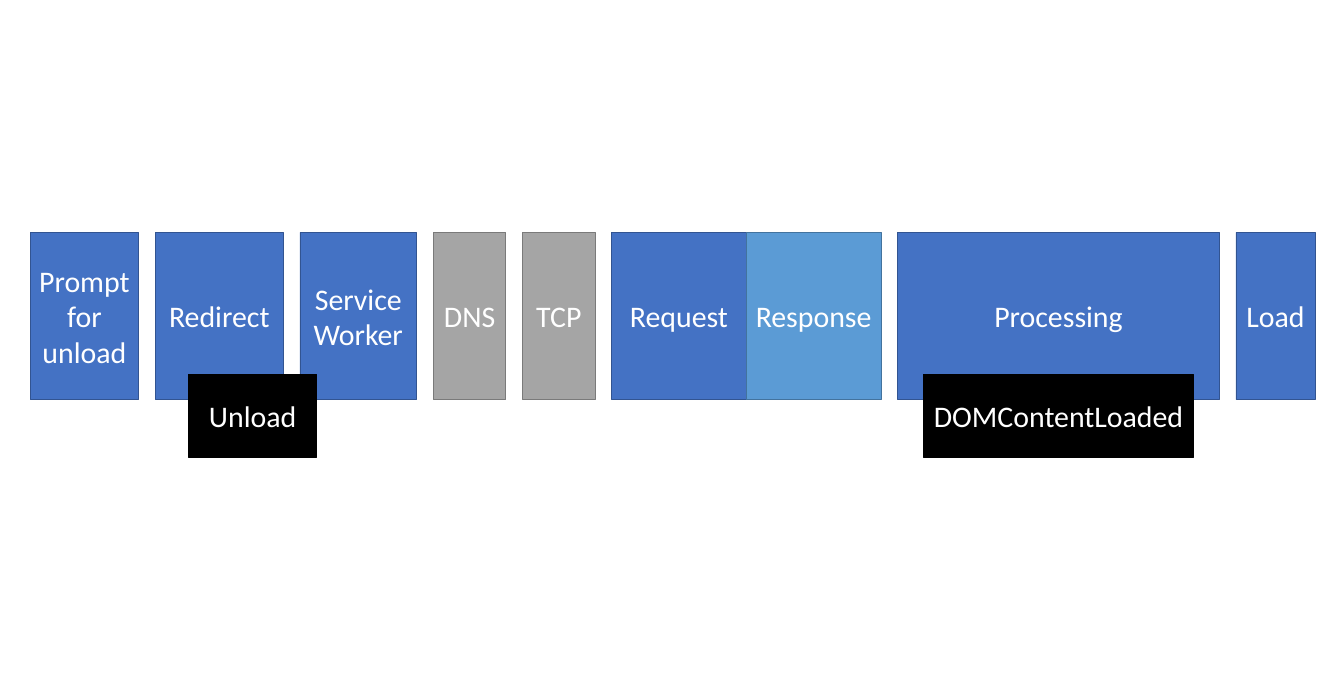
"""Build a slide showing the phases of a page navigation as a timeline."""
from pptx import Presentation, util as u
from pptx.dml.color import RGBColor
from pptx.enum import shapes, text

PX = u.Inches(1) // 100
COLORS = {
    "blue": "4472C4", "blue_line": "325491",
    "gray": "A5A5A5", "gray_line": "7A7A7A",
    "sky": "5B9BD5", "sky_line": "43739E",
    "black": "000000", "black_line": "000000",
    "white": "FFFFFF",
}
LEFT, TOP, HEIGHT, GAP = 56, 432, 311, 31
EVENT_TOP, EVENT_HEIGHT = 696, 154

PHASES = [
    ("Prompt\nfor unload", 202, "blue", GAP),
    ("Redirect", 238, "blue", GAP),
    ("Service\nWorker", 217, "blue", GAP),
    ("DNS", 135, "gray", GAP),
    ("TCP", 135, "gray", GAP),
    ("Request", 250, "blue", 0),
    ("Response", 251, "sky", GAP),
    ("Processing", 598, "blue", GAP),
    ("Load", 147, "blue", 0),
]
EVENTS = [("Unload", 351, 238), ("DOMContentLoaded", 1718, 502)]


class Timeline:
    """Hold the text style and the slide being drawn."""

    font, size = "Calibri", 40

    def __init__(self, slide):
        self.slide = slide

    def color(self, name):
        """Return the named colour."""
        return RGBColor.from_string(COLORS[name])

    def box(self, label, x, y, w, h, tone):
        """Add a filled rectangle with a centred label."""
        s = self.slide.shapes.add_shape(
            shapes.MSO_SHAPE.RECTANGLE, *(v * PX for v in (x, y, w, h)))
        s.shadow.inherit = False
        s.fill.solid()
        s.fill.fore_color.rgb = self.color(tone)
        s.line.color.rgb = self.color(tone + "_line")
        s.line.width = u.Pt(1)
        tf = s.text_frame
        tf.word_wrap = True
        tf.vertical_anchor = text.MSO_ANCHOR.MIDDLE
        tf.text = label
        for p in tf.paragraphs:
            p.alignment = text.PP_ALIGN.CENTER
            for r in p.runs:
                r.font.name = self.font
                r.font.size = u.Pt(self.size)
                r.font.color.rgb = self.color("white")


def main():
    """Draw the phases in a row, then the events over them."""
    prs = Presentation()
    prs.slide_width, prs.slide_height = 2500 * PX, 1283 * PX
    timeline = Timeline(prs.slides.add_slide(prs.slide_layouts[6]))
    x = LEFT
    for label, width, tone, gap in PHASES:
        timeline.box(label, x, TOP, width, HEIGHT, tone)
        x += width + gap
    for label, left, width in EVENTS:
        timeline.box(label, left, EVENT_TOP, width, EVENT_HEIGHT, "black")
    prs.save("out.pptx")


if __name__ == "__main__":
    main()
